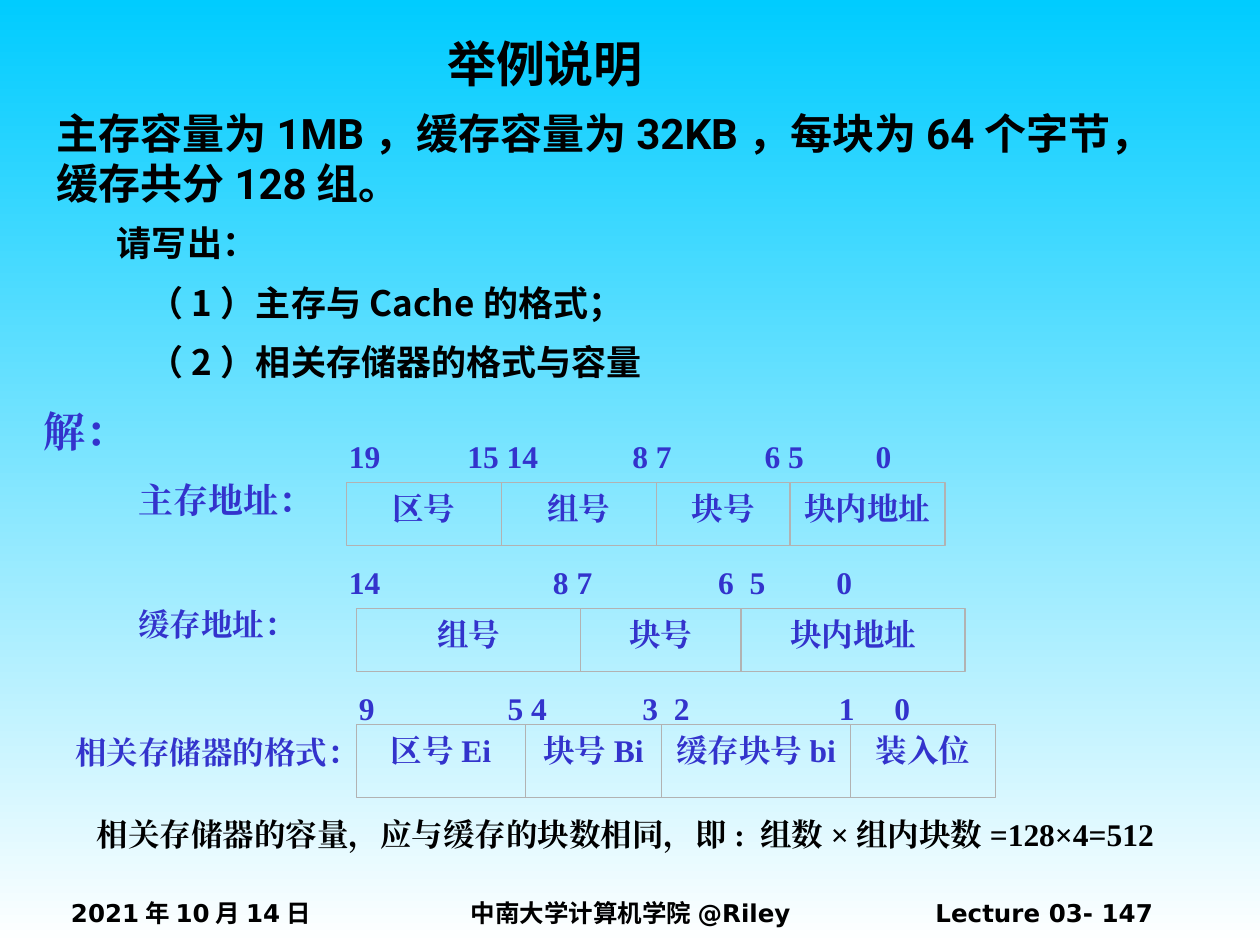
"""Build the worked example slide on memory and cache address formats."""
from itertools import accumulate

from lxml.etree import SubElement
from pptx import Presentation
from pptx.dml.color import RGBColor
from pptx.enum.shapes import MSO_SHAPE as Shape
from pptx.enum.text import MSO_ANCHOR as Anchor, PP_ALIGN as Align
from pptx.oxml.ns import qn
from pptx.util import Inches, Pt

SKY = RGBColor(0x00, 0xCC, 0xFF)
WHITE = RGBColor(0xFF, 0xFF, 0xFF)
BLACK = RGBColor(0x00, 0x00, 0x00)
BLUE = RGBColor(0x33, 0x33, 0xCC)
GREY = RGBColor(0xB2, 0xB2, 0xB2)
SANS, DIGITS, SERIF, FOOTER = "Noto Sans CJK SC", "Roboto", "Times New Roman", "DejaVu Sans"

PROBLEM = [
    ("主存容量为", SANS), ("1MB，", DIGITS), ("缓存容量为", SANS), ("32KB", DIGITS),
    ("，每块为", SANS), ("64", DIGITS), ("个字节，缓存共分", SANS), ("128", DIGITS), ("组。", SANS),
]
QUESTIONS = [("请写出：", 0), ("（1）主存与Cache的格式；", 0.25), ("（2）相关存储器的格式与容量", 0.25)]
FORMATS = [
    {"label": ("主存地址：", 20, (1, 3.75, 1.83, 0.5)),
     "fields": [("区号", 1.23), ("组号", 1.23), ("块号", 1.06), ("块内地址", 1.23)],
     "origin": (2.75, 3.83), "height": 0.5,
     "bits": [("19", 0), ("15 14", 0.94), ("8 7", 2.25), ("6 5", 3.3), ("0", 4.18)],
     "bits_at": (2.67, 3.42, 5.08, 0.4)},
    {"label": ("缓存地址：", 18, (1, 4.75, 1.58, 0.4)),
     "fields": [("组号", 1.78), ("块号", 1.27), ("块内地址", 1.78)],
     "origin": (2.83, 4.83), "height": 0.5,
     "bits": [("14", 0), ("8 7", 1.62), ("6", 2.93), ("5", 3.18), ("0", 3.87)],
     "bits_at": (2.67, 4.42, 5.08, 0.4)},
    {"label": ("相关存储器的格式：", 18, (0.5, 5.77, 2.58, 0.4)),
     "fields": [("区号Ei", 1.34), ("块号Bi", 1.08), ("缓存块号bi", 1.5), ("装入位", 1.15)],
     "origin": (2.83, 5.75), "height": 0.58,
     "bits": [("9", 0), ("5 4", 1.18), ("3", 2.25), ("2", 2.5), ("1", 3.81), ("0", 4.25)],
     "bits_at": (2.75, 5.42, 5.42, 0.4)},
]
CAPACITY = "相关存储器的容量，应与缓存的块数相同，即: 组数×组内块数=128×4=512"
FOOTERS = [
    ("中南大学计算机学院@Riley", (3.42, 7.08, 3.17, 0.5), Align.CENTER),
    ("2021年10月14日", (0, 7.08, 3.03, 0.5), Align.CENTER),
    ("Lecture 03- 147", (7.17, 7.08, 2.08, 0.5), Align.RIGHT),
]


def write(frame, paragraphs, size=18, color=BLUE, font=SERIF, align=Align.LEFT,
          anchor=Anchor.TOP, indents=(), tabs=(), gap=0):
    """Fill a frame with paragraphs given as strings or lists of (text, font)."""
    frame.word_wrap = True
    frame.vertical_anchor = anchor
    for index, content in enumerate(paragraphs):
        para = frame.add_paragraph() if index else frame.paragraphs[0]
        para.alignment = align
        if index:
            para.space_before = Pt(gap)
        properties = para._p.get_or_add_pPr()
        if indents:
            properties.set("marL", str(Inches(indents[index])))
            properties.set("indent", "0")
        if tabs:
            stops = SubElement(properties, qn("a:tabLst"))
            for stop in tabs:
                SubElement(stops, qn("a:tab"), pos=str(Inches(stop)), algn="l")
        for text, face in [(content, font)] if isinstance(content, str) else content:
            span = para.add_run()
            span.text = text
            span.font.size = Pt(size)
            span.font.bold = True
            span.font.color.rgb = color
            span.font.name = face
            SubElement(span._r.get_or_add_rPr(), qn("a:ea"), typeface=face)


def add_text(page, place, paragraphs, **style):
    """Add a wrapped text box at a place in inches."""
    box = page.shapes.add_textbox(*map(Inches, place))
    write(box.text_frame, paragraphs, **style)


def add_field(page, place, name):
    """Add one outlined address field."""
    field = page.shapes.add_shape(Shape.RECTANGLE, *map(Inches, place))
    field.shadow.inherit = False
    field.fill.background()
    field.line.color.rgb = GREY
    field.line.width = Pt(0.75)
    write(field.text_frame, [name], align=Align.CENTER)


def add_format(page, layout):
    """Add a label, a row of fields and the bit numbers above it."""
    label, size, place = layout["label"]
    add_text(page, place, [label], size=size)
    left, top = layout["origin"]
    widths = [width for _, width in layout["fields"]]
    for (name, width), start in zip(layout["fields"], accumulate(widths, initial=left)):
        add_field(page, (start, top, width, layout["height"]), name)
    numbers, stops = zip(*layout["bits"])
    add_text(page, layout["bits_at"], ["\t".join(numbers)], tabs=stops[1:])


def main():
    """Assemble and save the deck."""
    deck = Presentation()
    deck.slide_width, deck.slide_height = Inches(10), Inches(7.5)
    page = deck.slides.add_slide(deck.slide_layouts[6])
    fill = page.background.fill
    fill.gradient()
    fill.gradient_angle = 270
    for stop, color, position in zip(fill.gradient_stops, (SKY, WHITE), (0, 1)):
        stop.color.rgb = color
        stop.position = position

    add_text(page, (3, 0.25, 2.65, 0.5), ["举例说明"], size=28, color=BLACK, font=SANS,
             align=Align.CENTER, anchor=Anchor.MIDDLE)
    add_text(page, (0.35, 0.8, 8.92, 0.91), [PROBLEM], size=24, color=BLACK)
    questions, indents = zip(*QUESTIONS)
    add_text(page, (0.83, 1.71, 8.83, 1.43), questions, size=20, color=BLACK, font=SANS,
             indents=indents, gap=10)
    add_text(page, (0.25, 3.17, 0.83, 0.5), ["解："], size=24)
    for layout in FORMATS:
        add_format(page, layout)
    add_text(page, (0.67, 6.42, 8.92, 0.4), [CAPACITY], color=BLACK)
    for text, place, align in FOOTERS:
        add_text(page, place, [text], size=14, color=BLACK, font=FOOTER, align=align)


    deck.save("out.pptx")


if __name__ == "__main__":
    main()
